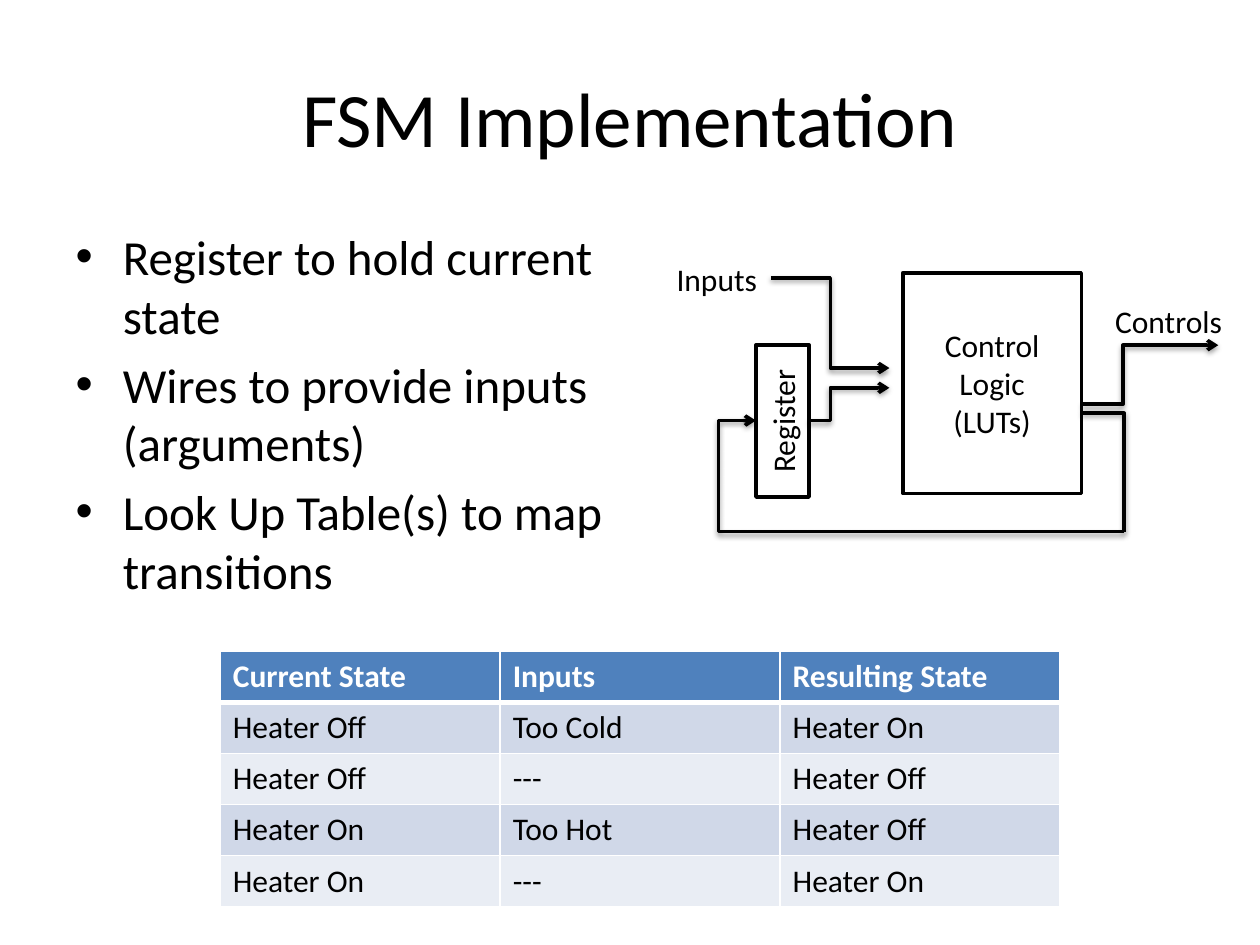
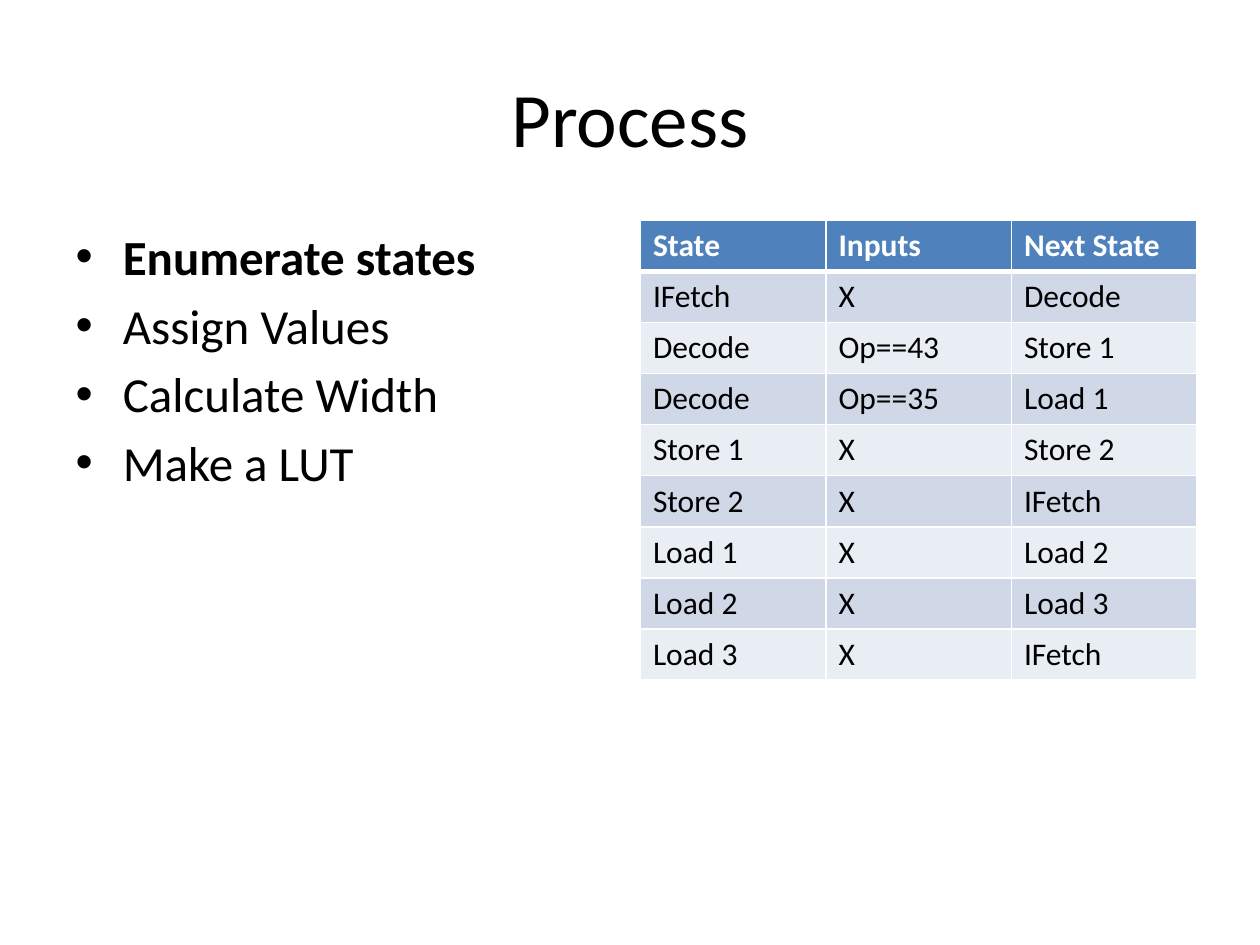
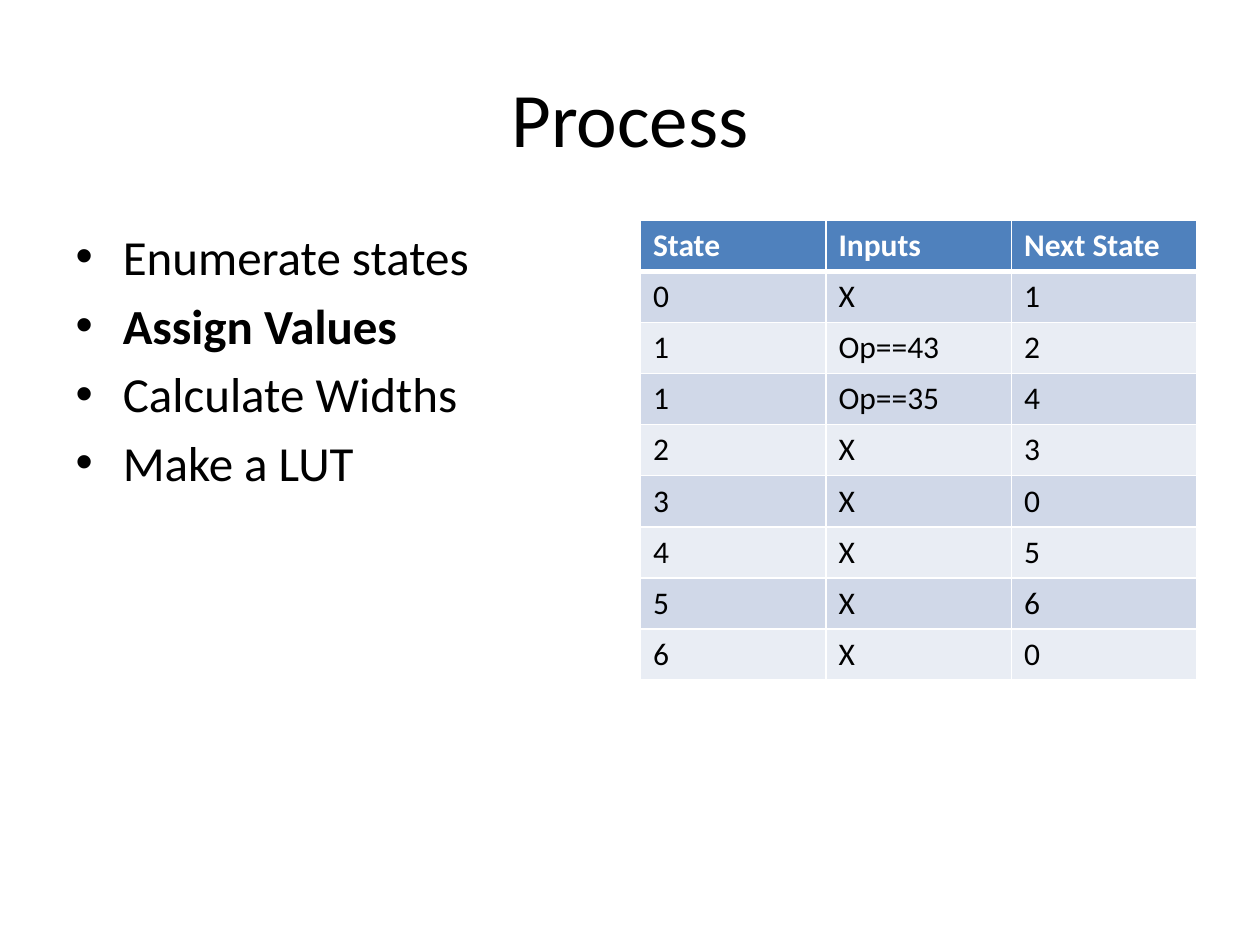
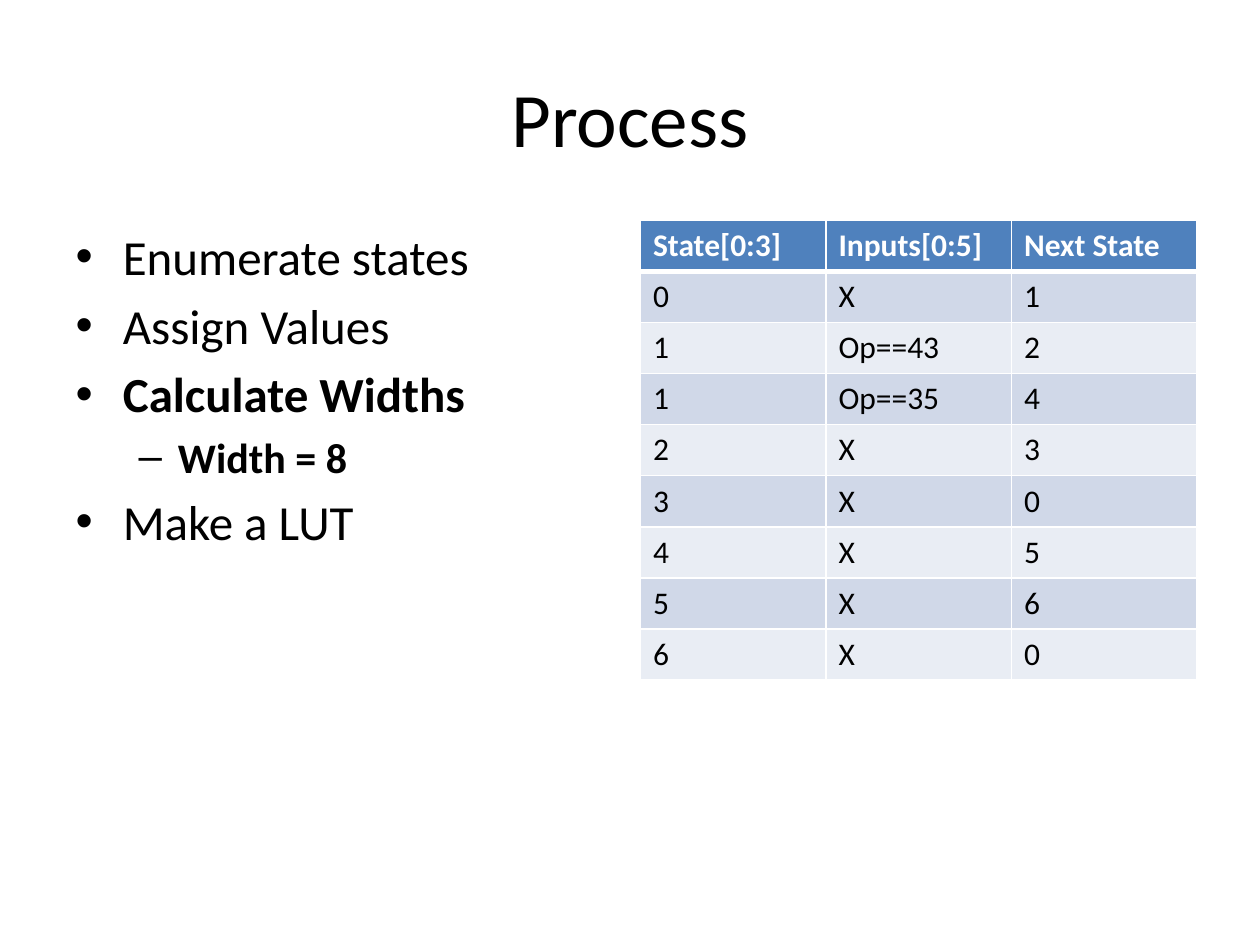
"""Builds four slides on implementing a finite state machine."""
from dataclasses import dataclass

from lxml import etree
from pptx import Presentation
from pptx.dml.color import RGBColor
from pptx.enum.shapes import MSO_CONNECTOR, MSO_SHAPE
from pptx.enum.text import MSO_ANCHOR, MSO_AUTO_SIZE, PP_ALIGN
from pptx.oxml import parse_xml
from pptx.oxml.ns import nsdecls, qn
from pptx.util import Cm, Pt

ELBOW, RECT = MSO_CONNECTOR.ELBOW, MSO_SHAPE.RECTANGLE
MIDDLE, CENTER, LEFT = MSO_ANCHOR.MIDDLE, PP_ALIGN.CENTER, PP_ALIGN.LEFT
GROW = MSO_AUTO_SIZE.SHAPE_TO_FIT_TEXT
TWO_CONTENT = 3


@dataclass(frozen=True)
class Theme:
    """Colours, type sizes and line widths shared by all slides."""
    font: str = "Calibri"
    ink: str = "000000"
    paper: str = "FFFFFF"
    header: str = "4F81BD"
    bands: tuple = ("D0D8E8", "E9EDF4")
    title: int = 44
    levels: tuple = (28, 24)
    small: int = 18
    line: int = 2
    grid: int = 1
    header_rule: int = 3


THEME = Theme()

# Boxes in centimetres: left, top, width, height
TITLE_BOX = (1.27, 0.76, 22.86, 3.18)
BODY_BOX = (1.27, 4.44, 11.22, 12.57)
ROW_HEIGHT = 1.03

HEATER_ROWS = [
    ("Current State", "Inputs", "Resulting State"),
    ("Heater Off", "Too Cold", "Heater On"),
    ("Heater Off", "---", "Heater Off"),
    ("Heater On", "Too Hot", "Heater Off"),
    ("Heater On", "---", "Heater On"),
]
STATES = ["IFetch", "Decode", "Store 1", "Store 2", "Load 1", "Load 2", "Load 3"]
TRANSITIONS = [
    ("IFetch", "X", "Decode"),
    ("Decode", "Op==43", "Store 1"),
    ("Decode", "Op==35", "Load 1"),
    ("Store 1", "X", "Store 2"),
    ("Store 2", "X", "IFetch"),
    ("Load 1", "X", "Load 2"),
    ("Load 2", "X", "Load 3"),
    ("Load 3", "X", "IFetch"),
]


def rgb(value):
    """Return a colour object for a hex string."""
    return RGBColor.from_string(value)


def cms(*values):
    """Convert centimetres to lengths."""
    return [Cm(v) for v in values]


def add_run(p, text, size, color=THEME.ink, bold=False):
    """Add one formatted run to a paragraph."""
    r = p.add_run()
    r.text = text
    r.font.name = THEME.font
    r.font.size = Pt(size)
    r.font.bold = bold
    r.font.color.rgb = rgb(color)


def add_lines(tf, lines, align):
    """Fill a text frame with small paragraphs."""
    for i, text in enumerate(lines):
        p = tf.paragraphs[0] if i == 0 else tf.add_paragraph()
        p.alignment = align
        add_run(p, text, THEME.small)


def place(sp, box):
    """Move and size a shape to a box in centimetres."""
    sp.left, sp.top, sp.width, sp.height = cms(*box)


def add_slide(prs, title, items):
    """Add a slide with a title and a list of (text, level, bold) items."""
    s = prs.slides.add_slide(prs.slide_layouts[TWO_CONTENT])
    body, spare = list(s.placeholders)[1:3]
    spare.element.getparent().remove(spare.element)
    place(s.shapes.title, TITLE_BOX)
    p = s.shapes.title.text_frame.paragraphs[0]
    p.alignment = CENTER
    add_run(p, title, THEME.title)
    place(body, BODY_BOX)
    tf = body.text_frame
    for i, (text, level, bold) in enumerate(items):
        p = tf.paragraphs[0] if i == 0 else tf.add_paragraph()
        p.level = level
        add_run(p, text, THEME.levels[level], bold=bold)
    return s


def set_borders(cell, top, bottom):
    """Draw white borders round a cell with the given top and bottom widths."""
    tc_pr = cell._tc.get_or_add_tcPr()
    sides = (("L", THEME.grid), ("R", THEME.grid), ("T", top), ("B", bottom))
    for i, (side, width) in enumerate(sides):
        tc_pr.insert(i, parse_xml(
            f'<a:ln{side} {nsdecls("a")} w="{Pt(width)}"><a:solidFill>'
            f'<a:srgbClr val="{THEME.paper}"/></a:solidFill></a:ln{side}>'))


def add_grid(s, left, top, width, rows):
    """Add a banded table whose first row is the header."""
    n_cols = len(rows[0])
    frame = s.shapes.add_table(len(rows), n_cols,
                               *cms(left, top, width, ROW_HEIGHT * len(rows)))
    table = frame.table
    for col in table.columns:
        col.width = Cm(width / n_cols)
    for i, row in enumerate(rows):
        table.rows[i].height = Cm(ROW_HEIGHT)
        is_header = i == 0
        fill = THEME.header if is_header else THEME.bands[(i - 1) % 2]
        for j, text in enumerate(row):
            cell = table.cell(i, j)
            cell.fill.solid()
            cell.fill.fore_color.rgb = rgb(fill)
            set_borders(cell,
                        THEME.header_rule if i == 1 else THEME.grid,
                        THEME.header_rule if is_header else THEME.grid)
            add_run(cell.text_frame.paragraphs[0], text, THEME.small,
                    THEME.paper if is_header else THEME.ink, is_header)


def add_block(s, box, lines, rotation=0):
    """Add an outlined rectangle with centred text."""
    sp = s.shapes.add_shape(RECT, *cms(*box))
    sp.shadow.inherit = False
    sp.rotation = rotation
    sp.fill.solid()
    sp.fill.fore_color.rgb = rgb(THEME.paper)
    sp.line.color.rgb = rgb(THEME.ink)
    sp.line.width = Pt(THEME.line)
    sp.text_frame.vertical_anchor = MIDDLE
    add_lines(sp.text_frame, lines, CENTER)


def add_label(s, box, text):
    """Add a one-line text box."""
    tf = s.shapes.add_textbox(*cms(*box)).text_frame
    tf.word_wrap = False
    tf.auto_size = GROW
    add_lines(tf, [text], LEFT)


def add_wire(s, start, bend_x, end, arrow=True):
    """Add a shadowed elbow connector that turns at bend_x."""
    wire = s.shapes.add_connector(ELBOW, *cms(*start, *end))
    wire.line.color.rgb = rgb(THEME.ink)
    wire.line.width = Pt(THEME.line)
    sp_pr = wire._element.spPr
    guides = sp_pr.find(qn("a:prstGeom")).get_or_add_avLst()
    turn = round(100000 * (bend_x - start[0]) / (end[0] - start[0]))
    etree.SubElement(guides, qn("a:gd"), name="adj1", fmla=f"val {turn}")
    if arrow:
        etree.SubElement(sp_pr.find(qn("a:ln")), qn("a:tailEnd"), type="arrow")
    sp_pr.append(parse_xml(
        f'<a:effectLst {nsdecls("a")}><a:outerShdw blurRad="{Pt(3.1)}" '
        f'dist="{Pt(1.6)}" dir="5400000" rotWithShape="0">'
        f'<a:srgbClr val="{THEME.ink}"><a:alpha val="38000"/></a:srgbClr>'
        '</a:outerShdw></a:effectLst>'))


def add_machine(s):
    """Draw the register, the control logic and their wiring."""
    add_block(s, (18.2, 5.5, 3.6, 4.45), ["Control Logic", "(LUTs)"])
    add_label(s, (13.39, 5.11, 2.16, 1.03), "Inputs")
    add_block(s, (14.24, 7.95, 3.07, 1.07), ["Register"], rotation=270)
    loop = (22.66, 10.72)
    add_wire(s, loop, 14.48, (15.24, 8.48))
    add_wire(s, (21.8, 8.33), loop[0], loop, arrow=False)
    add_wire(s, (15.54, 5.61), 16.74, (17.93, 7.42))
    add_wire(s, (16.31, 8.48), 16.74, (17.93, 7.82))
    add_wire(s, (21.81, 8.15), 22.64, (24.56, 6.96))
    add_label(s, (22.23, 5.97, 2.69, 1.03), "Controls")


def add_process(prs, items, header, rows):
    """Add one process step: the list of steps beside the transition table."""
    s = add_slide(prs, "Process", items)
    add_grid(s, 12.91, BODY_BOX[1], BODY_BOX[2], [header] + rows)


def main():
    """Build and save the slides."""
    prs = Presentation()
    prs.slide_width, prs.slide_height = cms(25.4, 19.05)

    s = add_slide(prs, "FSM Implementation", [
        ("Register to hold current state", 0, False),
        ("Wires to provide inputs (arguments)", 0, False),
        ("Look Up Table(s) to map transitions", 0, False)])
    add_grid(s, 4.44, 13.13, 16.93, HEATER_ROWS)
    add_machine(s)

    header = ("State", "Inputs", "Next State")
    encoded = [(str(STATES.index(state)), inputs, str(STATES.index(following)))
               for state, inputs, following in TRANSITIONS]
    add_process(prs, [
        ("Enumerate states", 0, True),
        ("Assign Values", 0, False),
        ("Calculate Width", 0, False),
        ("Make a LUT", 0, False)], header, TRANSITIONS)
    add_process(prs, [
        ("Enumerate states", 0, False),
        ("Assign Values", 0, True),
        ("Calculate Widths", 0, False),
        ("Make a LUT", 0, False)], header, encoded)
    add_process(prs, [
        ("Enumerate states", 0, False),
        ("Assign Values", 0, False),
        ("Calculate Widths", 0, True),
        ("Width = 8", 1, True),
        ("Make a LUT", 0, False)],
        ("State[0:3]", "Inputs[0:5]", "Next State"), encoded)

    prs.save("out.pptx")


main()
